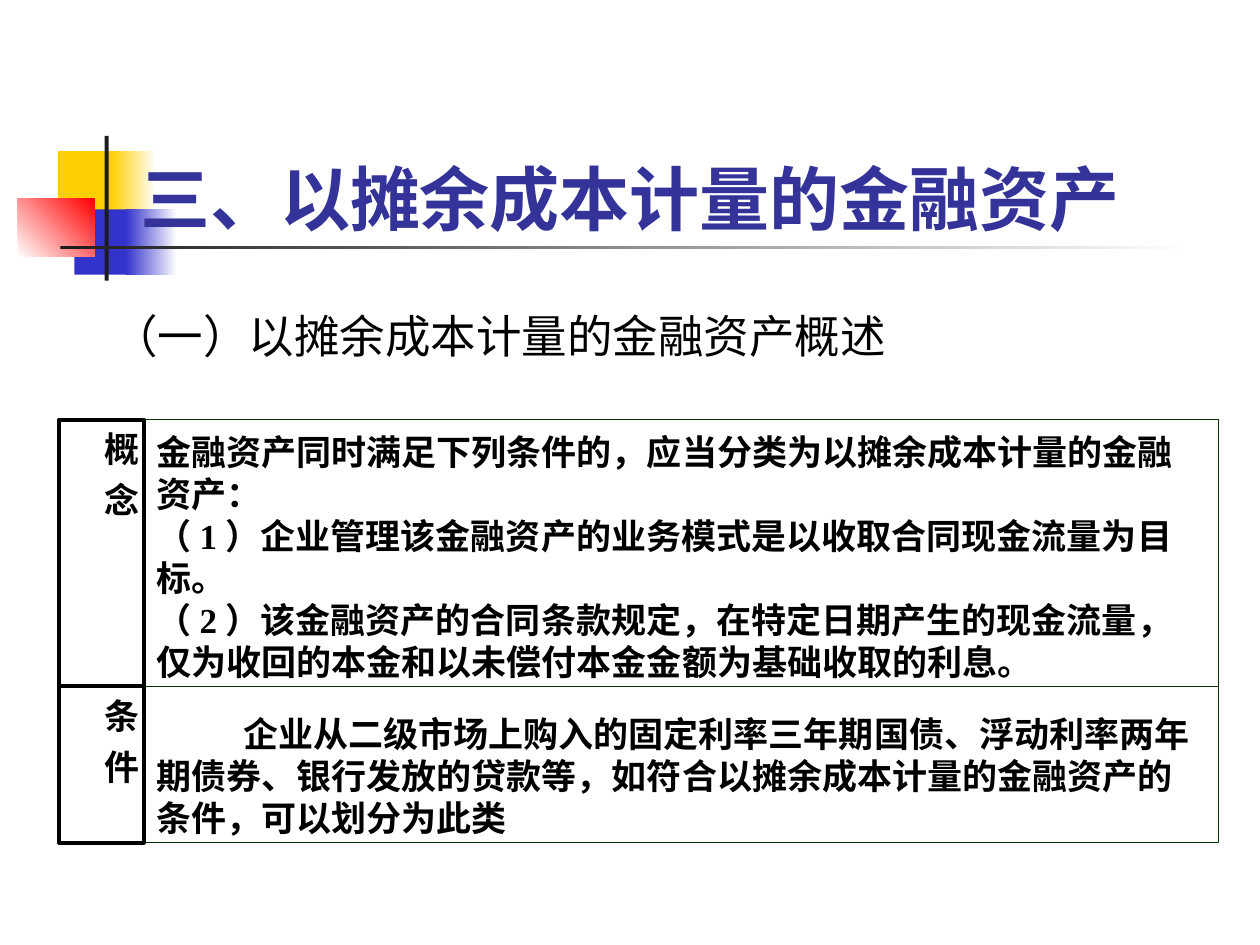
"""Build the slide on financial assets measured at amortised cost."""
from lxml.etree import SubElement
from pptx import Presentation
from pptx.dml.color import RGBColor
from pptx.enum.shapes import MSO_SHAPE as Shape
from pptx.enum.text import MSO_ANCHOR as Anchor, PP_ALIGN as Align
from pptx.oxml.ns import qn
from pptx.util import Cm, Pt

COLORS = {
    "yellow": "FFCF01", "blue": "3333CC", "red": "FF0000", "dark": "1C1C1C",
    "white": "FFFFFF", "title": "333399", "text": "000000", "border": "003300",
}
CJK, LATIN = "Noto Sans CJK SC", "Times New Roman"

TITLE = "三、以摊余成本计量的金融资产"
SUBTITLE = "（一）以摊余成本计量的金融资产概述"
ROWS = [
    {"label": "概 念", "height": 5.38, "top_inset": 0.22, "indent": 0, "body": [
        ["金融资产同时满足下列条件的，应当分类为以摊余成本计量的金融资产："],
        ["（", "1", "）企业管理该金融资产的业务模式是以收取合同现金流量为目标。"],
        ["（", "2", "）该金融资产的合同条款规定，在特定日期产生的现金流量，"
         "仅为收回的本金和以未偿付本金金额为基础收取的利息。"],
    ]},
    {"label": "条 件", "height": 3.15, "top_inset": 0.52, "indent": 1.75, "body": [
        ["企业从二级市场上购入的固定利率三年期国债、浮动利率两年期债券、银行发放的贷款等，"
         "如符合以摊余成本计量的金融资产的条件，可以划分为此类"],
    ]},
]
DECORATIONS = [
    ((1.17, 3.05, 1.22, 1.32), ["yellow"], 0),
    ((2.24, 3.05, 0.91, 1.32), ["yellow", "white"], 0),
    ((1.5, 4.22, 1.17, 1.32), ["blue"], 0),
    ((2.54, 4.22, 1.02, 1.32), ["blue", "white"], 0),
    ((0.36, 4.01, 1.55, 1.17), ["white", "red"], 45),
    ((2.11, 2.74, 0.08, 2.92), ["dark"], 0),
    ((1.22, 4.95, 22.86, 0.08), ["dark", "white"], 0),
]
TABLE_LEFT, TABLE_TOP, LABEL_WIDTH, BODY_WIDTH = 1.19, 8.46, 1.71, 21.67


def rgb(name):
    return RGBColor.from_string(COLORS[name])


def add_rectangle(shapes, box, fills=(), angle=0, line=None, width=0):
    shape = shapes.add_shape(Shape.RECTANGLE, *map(Cm, box))
    shape.shadow.inherit = False
    if len(fills) == 2:
        shape.fill.gradient()
        shape.fill.gradient_angle = angle
        for stop, position, name in zip(shape.fill.gradient_stops, (0, 1), fills):
            stop.position = position
            stop.color.rgb = rgb(name)
    elif fills:
        shape.fill.solid()
        shape.fill.fore_color.rgb = rgb(fills[0])
    else:
        shape.fill.background()
    if line:
        shape.line.color.rgb = rgb(line)
        shape.line.width = Pt(width)
    else:
        shape.line.fill.background()
    return shape


def write_text(shape, paragraphs, size=20, bold=True, color="text", align=Align.LEFT,
               anchor=Anchor.TOP, insets=(0.25, 0.13, 0.25, 0.13), wrap=True,
               spacing=None, indent=0, tracking=None, vertical=False):
    frame = shape.text_frame
    frame.word_wrap = wrap
    frame.vertical_anchor = anchor
    frame.margin_left, frame.margin_top, frame.margin_right, frame.margin_bottom = map(Cm, insets)
    if vertical:
        frame._txBody.bodyPr.set("vert", "eaVert")
    for index, pieces in enumerate(paragraphs):
        paragraph = frame.add_paragraph() if index else frame.paragraphs[0]
        paragraph.alignment = align
        paragraph.space_before = Pt(0)
        if spacing:
            paragraph.line_spacing = Pt(spacing)
        if indent:
            paragraph._p.get_or_add_pPr().set("indent", str(Cm(indent)))
        for piece in pieces:
            run = paragraph.add_run()
            run.text = piece
            font = run.font
            font.size, font.bold, font.color.rgb = Pt(size), bold, rgb(color)
            font.name = LATIN if piece.isdigit() else CJK
            properties = run._r.get_or_add_rPr()
            SubElement(properties, qn("a:ea")).set("typeface", CJK)
            if tracking:
                properties.set("spc", str(tracking))


def add_rows(slide):
    group = slide.shapes.add_group_shape()
    top = TABLE_TOP
    for row in ROWS:
        body = add_rectangle(group.shapes, (TABLE_LEFT + LABEL_WIDTH, top, BODY_WIDTH, row["height"]),
                             line="border", width=0.75)
        write_text(body, row["body"], spacing=24, indent=row["indent"],
                   insets=(0.25, row["top_inset"], 0.38, 0.13))
        label = add_rectangle(group.shapes, (TABLE_LEFT, top, LABEL_WIDTH, row["height"]),
                              line="text", width=2.25)
        write_text(label, [[row["label"]]], tracking=200, vertical=True,
                   insets=(0.05, 0.25, 0.05, 0.25))
        top += row["height"]


def main():
    presentation = Presentation()
    presentation.slide_width, presentation.slide_height = Cm(25.4), Cm(19.05)
    slide = presentation.slides.add_slide(presentation.slide_layouts[5])
    for box, fills, angle in DECORATIONS:
        add_rectangle(slide.shapes, box, fills, angle)
    add_rows(slide)

    title = slide.shapes.title
    title.left, title.top, title.width, title.height = map(Cm, (2.51, 3, 20.37, 1.96))
    write_text(title, [[TITLE]], size=40, color="title", align=Align.CENTER,
               anchor=Anchor.MIDDLE, wrap=False)
    slide.shapes._spTree.append(title._element)

    subtitle = slide.shapes.add_textbox(*map(Cm, (2.01, 6.07, 16.97, 1.37)))
    write_text(subtitle, [[SUBTITLE]], size=26, bold=False, anchor=Anchor.MIDDLE)
    presentation.save("out.pptx")


if __name__ == "__main__":
    main()
